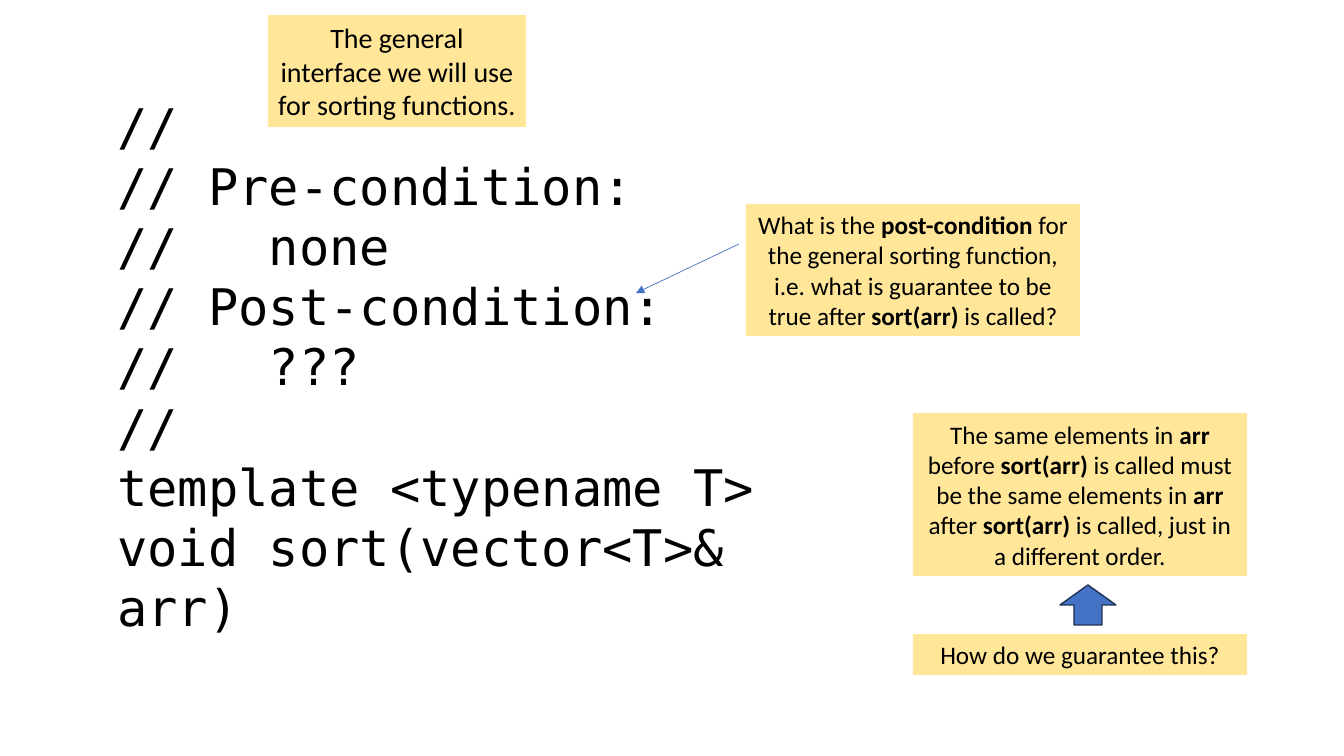
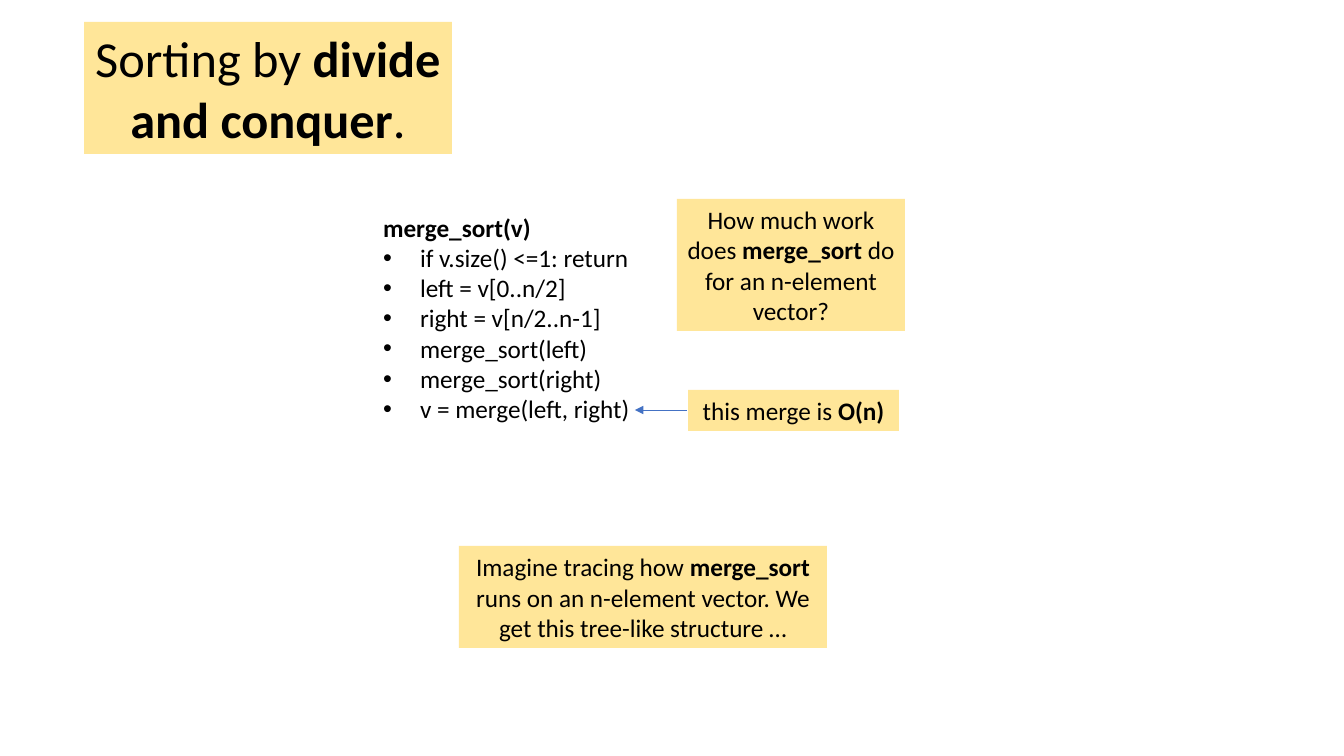
from lxml import etree
from pptx import Presentation
from pptx.dml.color import RGBColor
from pptx.enum.shapes import MSO_CONNECTOR, MSO_SHAPE
from pptx.enum.text import MSO_ANCHOR, MSO_AUTO_SIZE, PP_ALIGN
from pptx.oxml.ns import qn
from pptx.util import Emu, Pt

RECTANGLE, UP_ARROW = MSO_SHAPE.RECTANGLE, MSO_SHAPE.UP_ARROW
STRAIGHT = MSO_CONNECTOR.STRAIGHT
LEFT, CENTER = PP_ALIGN.LEFT, PP_ALIGN.CENTER
TOP, MIDDLE = MSO_ANCHOR.TOP, MSO_ANCHOR.MIDDLE

SLIDE_WIDTH, SLIDE_HEIGHT = 1344, 756
SCALE = 12192000 / SLIDE_WIDTH
NOTE_FILL, TEXT_COLOR = "FFE699", "000000"
ACCENT, ACCENT_EDGE = "4472C4", "1E3256"
SANS, MONO = "Calibri", "DejaVu Sans Mono"
BULLET_INDENT = 37
TITLE_LAYOUT = 1

# Content: boxes are left, top, width, height in px; ** marks bold text
SLIDES = [
    {
        "title": ("The general interface we will use for sorting functions.", 20, (268, 15, 258, 112)),
        "body": {
            "box": (107, 90, 719, 553),
            "font": MONO, "size": 36, "spacing": Pt(43), "bullets": False,
            "lines": [
                "//",
                "// Pre-condition:",
                "//   none",
                "// Post-condition:",
                "//   ???",
                "//",
                "template <typename T>",
                "void sort(vector<T>& arr)",
            ],
        },
        "notes": [
            ("What is the **post-condition** for the general sorting function, "
             "i.e. what is guarantee to be true after **sort(arr) **is called?", (746, 204, 334, 132)),
            ("The same elements in **arr** before **sort(arr) **is called must be the same "
             "elements in **arr** after **sort(arr) **is called, just in a different order.",
             (913, 413, 334, 163)),
            ("How do we guarantee this?", (913, 634, 334, 41)),
        ],
        "pointers": [(739, 244, 636, 293)],
        "block_arrows": [(1060, 585, 56, 40)],
    },
    {
        "title": ("Sorting by **divide and conquer**.", 36, (84, 22, 368, 132)),
        "body": {
            "box": (373, 207, 286, 224),
            "font": SANS, "size": 18, "spacing": 1.0, "bullets": True,
            "lines": [
                "**merge_sort(v)**",
                "if v.size() <=1: return",
                "left = v[0..n/2]",
                "right = v[n/2..n-1]",
                "merge_sort(left)",
                "merge_sort(right)",
                "v = merge(left, right)",
            ],
        },
        "notes": [
            ("this merge is **O(n)**", (688, 390, 211, 41)),
            ("How much work does **merge_sort **do for an n-element vector?", (677, 199, 228, 132)),
            ("Imagine tracing how **merge_sort **runs on an n-element vector. "
             "We get this tree-like structure …", (459, 546, 368, 102)),
        ],
        "pointers": [(687, 410, 635, 410)],
        "block_arrows": [],
    },
]


def px(length):
    return Emu(round(length * SCALE))


def color(hex_string):
    return RGBColor.from_string(hex_string)


def apply(target, **values):
    for name, value in values.items():
        setattr(target, name, value)


def place(shape, box):
    apply(shape, **dict(zip(("left", "top", "width", "height"), map(px, box))))


def paint(shape, fill):
    shape.fill.solid()
    shape.fill.fore_color.rgb = color(fill)


def write(shape, lines, size, font=SANS, alignment=CENTER, anchor=MIDDLE, spacing=1.0):
    """Fill a shape with one paragraph per line and return the paragraphs."""
    frame = shape.text_frame
    apply(frame, word_wrap=True, auto_size=MSO_AUTO_SIZE.NONE, vertical_anchor=anchor)
    for index, line in enumerate(lines):
        paragraph = frame.add_paragraph() if index else frame.paragraphs[0]
        apply(paragraph, alignment=alignment, line_spacing=spacing,
              space_before=Pt(0), space_after=Pt(0))
        for part, text in enumerate(line.split("**")):
            if text:
                run = paragraph.add_run()
                run.text = text
                apply(run.font, name=font, size=Pt(size), bold=part % 2 == 1)
                run.font.color.rgb = color(TEXT_COLOR)
    return frame.paragraphs


def set_bullet(paragraph, bulleted):
    properties = paragraph._p.get_or_add_pPr()
    indent = px(BULLET_INDENT) if bulleted else 0
    properties.set("marL", str(indent))
    properties.set("indent", str(-indent))
    if bulleted:
        etree.SubElement(properties, qn("a:buChar")).set("char", "•")
    else:
        etree.SubElement(properties, qn("a:buNone"))


def add_title(slide, text, size, box):
    title = slide.shapes.title
    place(title, box)
    paint(title, NOTE_FILL)
    write(title, [text], size)


def add_body(slide, body):
    shape = slide.placeholders[1]
    place(shape, body["box"])
    paragraphs = write(shape, body["lines"], body["size"], body["font"], LEFT, TOP, body["spacing"])
    for index, paragraph in enumerate(paragraphs):
        set_bullet(paragraph, body["bullets"] and index > 0)


def add_filled_shape(slide, kind, box, fill):
    shape = slide.shapes.add_shape(kind, *map(px, box))
    shape.shadow.inherit = False
    paint(shape, fill)
    return shape


def add_note(slide, text, box):
    note = add_filled_shape(slide, RECTANGLE, box, NOTE_FILL)
    note.line.fill.background()
    write(note, [text], 18)


def add_pointer(slide, ends):
    pointer = slide.shapes.add_connector(STRAIGHT, *map(px, ends))
    pointer.line.width = Pt(0.5)
    pointer.line.color.rgb = color(ACCENT)
    etree.SubElement(pointer.line._get_or_add_ln(), qn("a:tailEnd")).set("type", "triangle")
    etree.SubElement(pointer._element.spPr, qn("a:effectLst"))


def add_block_arrow(slide, box):
    arrow = add_filled_shape(slide, UP_ARROW, box, ACCENT)
    arrow.line.width = Pt(1)
    arrow.line.color.rgb = color(ACCENT_EDGE)


def main():
    presentation = Presentation()
    apply(presentation, slide_width=px(SLIDE_WIDTH), slide_height=px(SLIDE_HEIGHT))
    for content in SLIDES:
        slide = presentation.slides.add_slide(presentation.slide_layouts[TITLE_LAYOUT])
        add_title(slide, *content["title"])
        add_body(slide, content["body"])
        for text, box in content["notes"]:
            add_note(slide, text, box)
        for ends in content["pointers"]:
            add_pointer(slide, ends)
        for box in content["block_arrows"]:
            add_block_arrow(slide, box)
    presentation.save("out.pptx")


if __name__ == "__main__":
    main()
